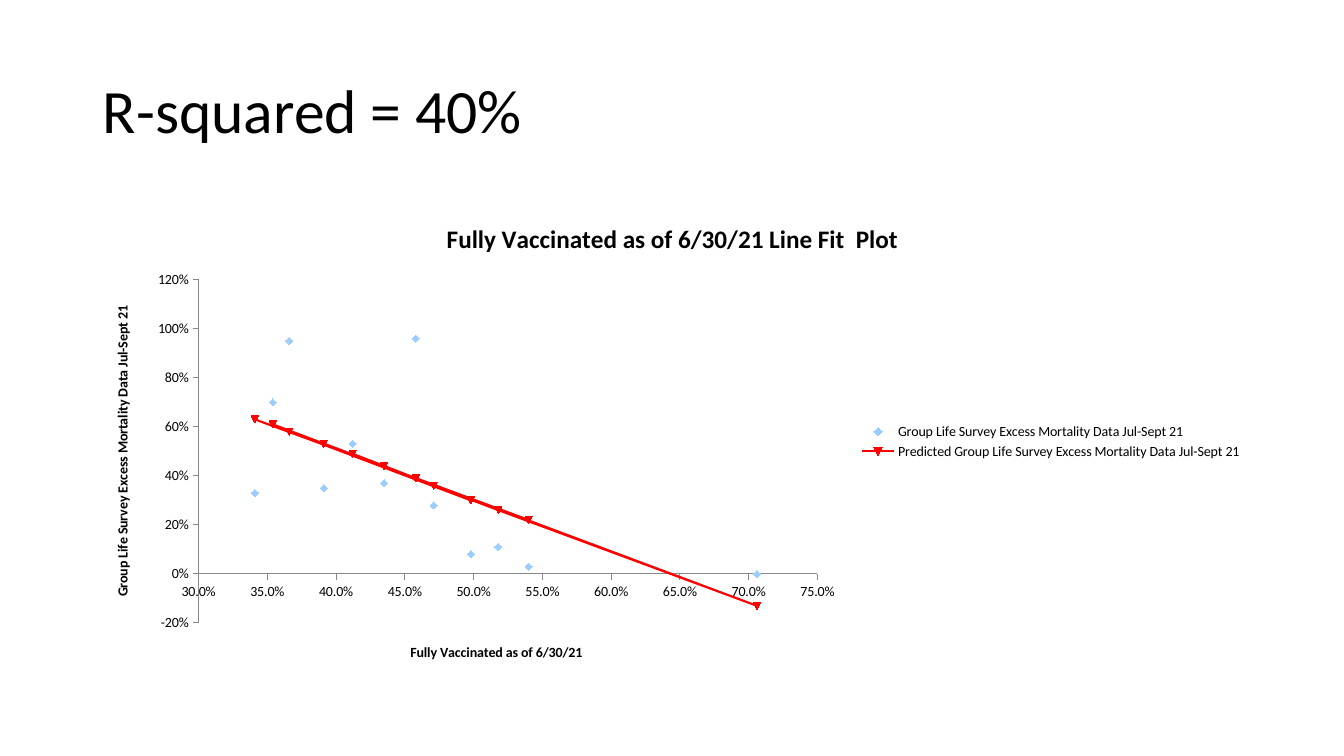
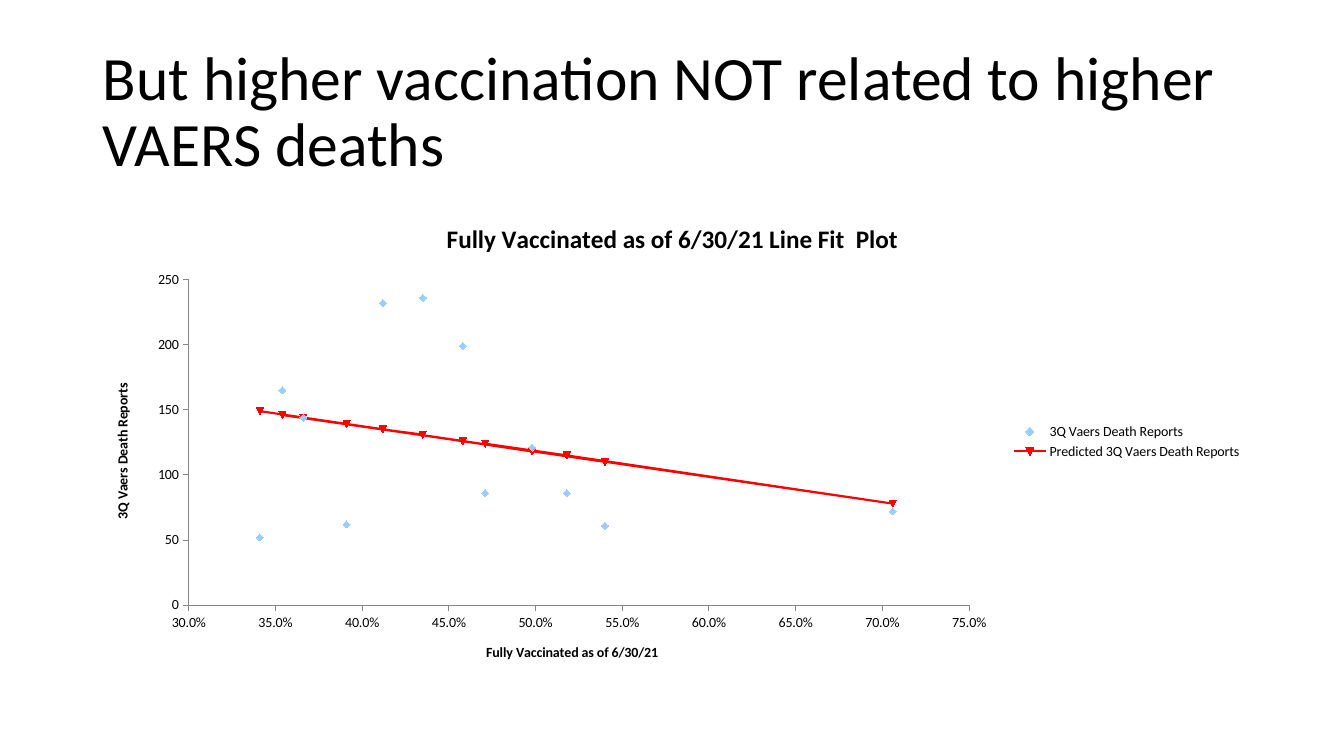
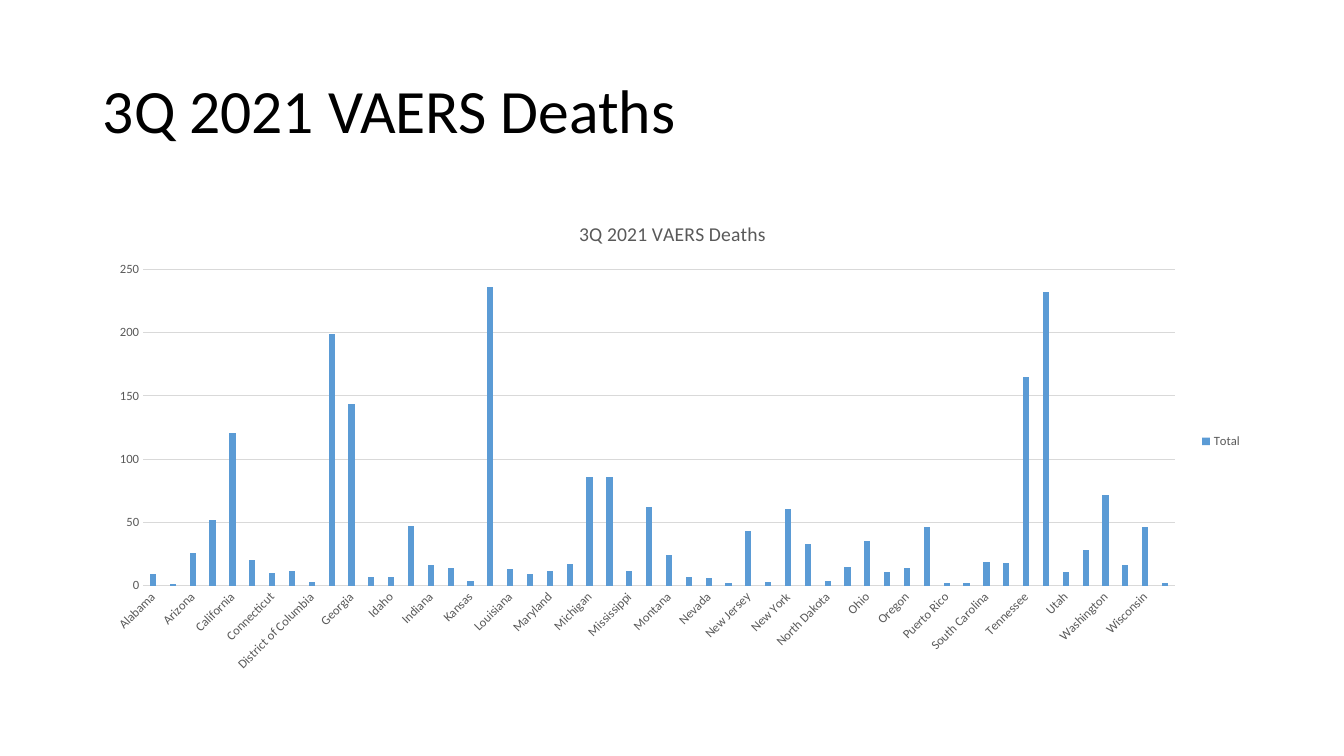
"""Build three slides on vaccination, excess mortality and VAERS deaths."""
from dataclasses import dataclass

from pptx import Presentation
from pptx import util as u
from pptx.chart import data
from pptx.dml.color import RGBColor
from pptx.enum import chart as kinds
from pptx.enum import text


@dataclass(frozen=True)
class Theme:
    """Hold the colours and type sizes of the deck."""

    font: str = "Calibri"
    ink: str = "000000"
    grey: str = "595959"
    axis: str = "878787"
    grid: str = "D9D9D9"
    bar: str = "5B9BD5"
    point: str = "99CCFF"
    fit: str = "FF0000"
    title: float = 44
    plot_title: float = 18
    column_title: float = 14
    label: float = 10
    small: float = 9


THEME = Theme()
LEFT, WIDTH = u.Inches(0.92), u.Inches(11.5)
PLOT_TITLE = "Fully Vaccinated as of 6/30/21 Line Fit  Plot"
VACCINATED_TITLE = "Fully Vaccinated as of 6/30/21"
VACCINATED = [
    percent / 100
    for percent in (43.5, 41.2, 45.8, 35.4, 36.6, 49.8, 47.1, 51.8, 70.6, 39.1, 54, 34.1)
]
MORTALITY = [0.37, 0.53, 0.96, 0.7, 0.95, 0.08, 0.28, 0.11, 0, 0.35, 0.03, 0.33]
MORTALITY_FIT = [0.44, 0.49, 0.39, 0.61, 0.58, 0.3, 0.36, 0.26, -0.13, 0.53, 0.22, 0.63]
REPORTS = [236, 232, 199, 165, 144, 121, 86, 86, 72, 62, 61, 52]
REPORTS_FIT = [131, 135, 126, 146, 144, 118, 124, 115, 78, 139, 110, 149]
DEATHS = {
    "Alabama": 9, "Alaska": 1, "Arizona": 26, "Arkansas": 52, "California": 121,
    "Colorado": 20, "Connecticut": 10, "Delaware": 12, "District of Columbia": 3,
    "Florida": 199, "Georgia": 144, "Hawaii": 7, "Idaho": 7, "Illinois": 47,
    "Indiana": 16, "Iowa": 14, "Kansas": 4, "Kentucky": 236, "Louisiana": 13,
    "Maine": 9, "Maryland": 12, "Massachusetts": 17, "Michigan": 86,
    "Minnesota": 86, "Mississippi": 12, "Missouri": 62, "Montana": 24,
    "Nebraska": 7, "Nevada": 6, "New Hampshire": 2, "New Jersey": 43,
    "New Mexico": 3, "New York": 61, "North Carolina": 33, "North Dakota": 4,
    "Northern Mariana Islands": 15, "Ohio": 35, "Oklahoma": 11, "Oregon": 14,
    "Pennsylvania": 46, "Puerto Rico": 2, "Rhode Island": 2, "South Carolina": 19,
    "South Dakota": 18, "Tennessee": 165, "Texas": 232, "Utah": 11,
    "Virginia": 28, "Washington": 72, "West Virginia": 16, "Wisconsin": 46,
    "Wyoming": 2,
}


def style_font(font, size, color, bold=False):
    """Set the typeface, size, colour and weight of a font."""
    font.name, font.size, font.bold = THEME.font, u.Pt(size), bold
    font.color.rgb = RGBColor.from_string(color)


def style_line(line, color, width=0.75):
    """Set the colour and width of a line."""
    line.color.rgb = RGBColor.from_string(color)
    line.width = u.Pt(width)


def write_text(frame, words, size, color=THEME.ink, bold=False, spacing=None):
    """Write one formatted paragraph into a text frame."""
    para = frame.paragraphs[0]
    para.line_spacing = spacing
    span = para.add_run()
    span.text = words
    style_font(span.font, size, color, bold)
    return para


def add_titled_page(deck, title):
    """Add a title-only page with the shared title style."""
    page = deck.slides.add_slide(deck.slide_layouts[5])
    box = page.shapes.title
    box.left, box.top, box.width, box.height = LEFT, u.Inches(0.4), WIDTH, u.Inches(1.45)
    box.text_frame.word_wrap = True
    box.text_frame.vertical_anchor = text.MSO_ANCHOR.MIDDLE
    para = write_text(box.text_frame, title, THEME.title, spacing=0.9)
    para.alignment = text.PP_ALIGN.LEFT
    return page


def add_chart(page, kind, numbers, title, title_format, label_format):
    """Add a chart with a title and a legend on its right."""
    chart = page.shapes.add_chart(
        kind, LEFT, u.Inches(2), WIDTH, u.Inches(4.76), numbers
    ).chart
    style_font(chart.font, **label_format)
    chart.has_title = True
    write_text(chart.chart_title.text_frame, title, **title_format)
    chart.chart_title.include_in_layout = False
    chart.has_legend = True
    chart.legend.position = kinds.XL_LEGEND_POSITION.RIGHT
    chart.legend.include_in_layout = False
    style_font(chart.legend.font, **label_format)
    chart.plots[0].vary_by_categories = False
    return chart


def style_scatter_axis(axis, title, scale, number_format):
    """Give a scatter axis its title, scale and number format."""
    axis.minimum_scale, axis.maximum_scale, axis.major_unit = scale
    axis.has_major_gridlines = False
    axis.major_tick_mark = kinds.XL_TICK_MARK.OUTSIDE
    axis.tick_labels.number_format = number_format
    axis.tick_labels.number_format_is_linked = False
    style_font(axis.tick_labels.font, THEME.label, THEME.ink)
    style_line(axis.format.line, THEME.axis)
    axis.has_title = True
    write_text(axis.axis_title.text_frame, title, THEME.label, bold=True)


def style_marker(series, color):
    """Give a series its automatic marker in one colour."""
    series.marker.style = kinds.XL_MARKER_STYLE.AUTOMATIC
    series.marker.size = 5
    series.marker.format.fill.solid()
    series.marker.format.fill.fore_color.rgb = RGBColor.from_string(color)
    style_line(series.marker.format.line, color)


def add_fit_plot(page, measure, actual, predicted, scale, number_format):
    """Add a scatter of a measure against vaccination with its fitted line."""
    numbers = data.XyChartData()
    for name, values in ((measure, actual), (f"Predicted {measure}", predicted)):
        series = numbers.add_series(name)
        for share, value in zip(VACCINATED, values):
            series.add_data_point(share, value)
    chart = add_chart(
        page, kinds.XL_CHART_TYPE.XY_SCATTER, numbers, PLOT_TITLE,
        title_format={"size": THEME.plot_title, "bold": True},
        label_format={"size": THEME.label, "color": THEME.ink},
    )
    style_scatter_axis(chart.category_axis, VACCINATED_TITLE, (0.3, 0.75, 0.05), "0.0%")
    style_scatter_axis(chart.value_axis, measure, scale, number_format)
    points, fit = chart.plots[0].series
    for series, color in ((points, THEME.point), (fit, THEME.fit)):
        series.smooth = False
        style_marker(series, color)
    points.format.line.fill.background()
    style_line(fit.format.line, THEME.fit, 1.5)


def add_state_columns(page, title):
    """Add a column chart of deaths by state."""
    numbers = data.CategoryChartData()
    numbers.categories = list(DEATHS)
    numbers.add_series("Total", list(DEATHS.values()))
    chart = add_chart(
        page, kinds.XL_CHART_TYPE.COLUMN_CLUSTERED, numbers, title,
        title_format={"size": THEME.column_title, "color": THEME.grey},
        label_format={"size": THEME.small, "color": THEME.grey},
    )
    plot = chart.plots[0]
    plot.gap_width, plot.overlap = 219, -27
    bars = plot.series[0]
    bars.invert_if_negative = False
    bars.format.fill.solid()
    bars.format.fill.fore_color.rgb = RGBColor.from_string(THEME.bar)
    for axis in (chart.category_axis, chart.value_axis):
        axis.major_tick_mark = kinds.XL_TICK_MARK.NONE
        style_font(axis.tick_labels.font, THEME.small, THEME.grey)
    style_line(chart.category_axis.format.line, THEME.grid)
    chart.value_axis.format.line.fill.background()
    style_line(chart.value_axis.major_gridlines.format.line, THEME.grid)
    for body in chart.element.xpath(".//c:catAx/c:txPr/a:bodyPr"):
        body.set("rot", "-2700000")


def main():
    """Build the deck and save it."""
    deck = Presentation()
    deck.slide_width, deck.slide_height = u.Inches(13.33), u.Inches(7.5)

    page = add_titled_page(deck, "R-squared = 40%")
    add_fit_plot(page, "Group Life Survey Excess Mortality Data Jul-Sept 21",
                 MORTALITY, MORTALITY_FIT, (-0.2, 1.2, 0.2), "0%")

    page = add_titled_page(deck, "But higher vaccination NOT related to higher VAERS deaths")
    add_fit_plot(page, "3Q Vaers Death Reports",
                 REPORTS, REPORTS_FIT, (0, 250, 50), "0")

    deaths_title = "3Q 2021 VAERS Deaths"
    page = add_titled_page(deck, deaths_title)
    add_state_columns(page, deaths_title)

    deck.save("out.pptx")


if __name__ == "__main__":
    main()
